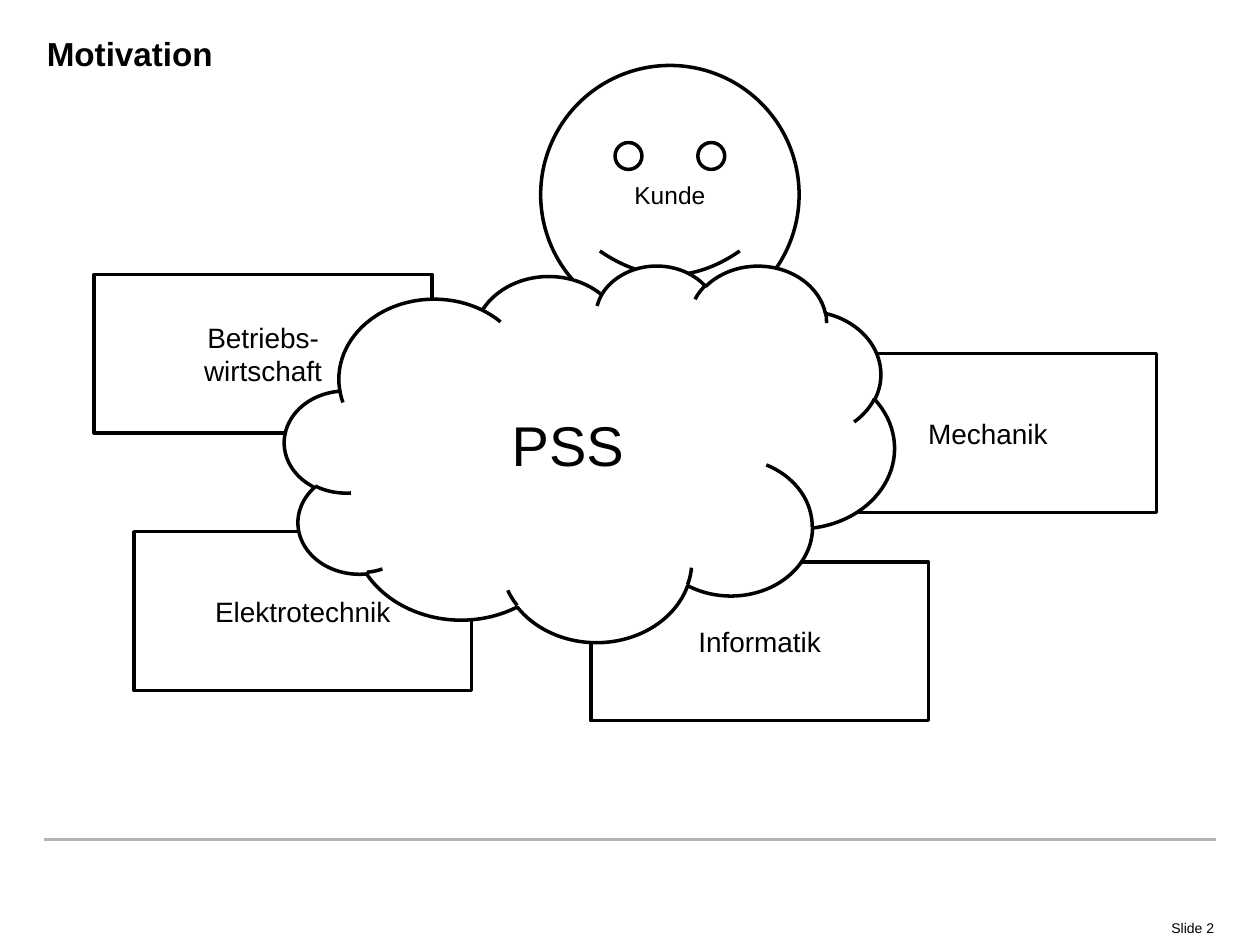
from dataclasses import dataclass

from lxml.etree import SubElement
from pptx import Presentation
from pptx.dml.color import RGBColor
from pptx.enum.shapes import MSO_CONNECTOR, MSO_SHAPE
from pptx.enum.text import MSO_ANCHOR, PP_ALIGN
from pptx.oxml.ns import qn
from pptx.slide import Slide
from pptx.text.text import TextFrame
from pptx.util import Cm, Pt

BLACK = RGBColor(0x00, 0x00, 0x00)
WHITE = RGBColor(0xFF, 0xFF, 0xFF)
GREY = RGBColor(0xB2, 0xB2, 0xB2)
FONT = "Arial"
DISCIPLINE_WIDTH = 6.81
DISCIPLINE_HEIGHT = 3.2


@dataclass(frozen=True)
class Figure:
    preset: MSO_SHAPE
    lines: tuple[str, ...]
    left: float
    top: float
    width: float
    height: float
    size: int
    filled: bool = True


def discipline(left: float, top: float, *lines: str) -> Figure:
    return Figure(MSO_SHAPE.RECTANGLE, lines, left, top,
                  DISCIPLINE_WIDTH, DISCIPLINE_HEIGHT, 16)


FIGURES = (
    Figure(MSO_SHAPE.SMILEY_FACE, ("Kunde",), 10.9, 1.32, 5.21, 5.21, 14, False),
    discipline(16.51, 7.13, "Mechanik"),
    discipline(2.7, 10.72, "Elektrotechnik"),
    discipline(11.91, 11.33, "Informatik"),
    discipline(1.9, 5.53, "Betriebs-", "wirtschaft"),
    Figure(MSO_SHAPE.CLOUD, ("PSS",), 5.74, 5.34, 12.29, 7.59, 32),
)


def write(frame: TextFrame, lines: tuple[str, ...], size: int,
          alignment: PP_ALIGN, bold: bool = False) -> None:
    frame.vertical_anchor = MSO_ANCHOR.MIDDLE
    for index, line in enumerate(lines):
        para = frame.add_paragraph() if index else frame.paragraphs[0]
        para.alignment = alignment
        span = para.add_run()
        span.text = line
        span.font.name = FONT
        span.font.size = Pt(size)
        span.font.bold = bold
        span.font.color.rgb = BLACK


def draw_figure(page: Slide, figure: Figure) -> None:
    shape = page.shapes.add_shape(
        figure.preset, Cm(figure.left), Cm(figure.top),
        Cm(figure.width), Cm(figure.height))
    shape.shadow.inherit = False
    shape.line.color.rgb = BLACK
    shape.line.width = Pt(2)
    if figure.filled:
        shape.fill.solid()
        shape.fill.fore_color.rgb = WHITE
    else:
        shape.fill.background()
    write(shape.text_frame, figure.lines, figure.size, PP_ALIGN.CENTER)


def draw_title(page: Slide, text: str) -> None:
    title = page.shapes.title
    title.left, title.top = Cm(0.69), Cm(0.53)
    title.width, title.height = Cm(22.3), Cm(1.07)
    write(title.text_frame, (text,), 19, PP_ALIGN.LEFT, bold=True)


def draw_footer(page: Slide, text: str) -> None:
    rule = page.shapes.add_connector(
        MSO_CONNECTOR.STRAIGHT, Cm(0.89), Cm(16.92), Cm(24.51), Cm(16.92))
    rule.line.color.rgb = GREY
    rule.line.width = Pt(1.5)
    SubElement(rule._element.spPr, qn("a:effectLst"))
    box = page.shapes.add_textbox(Cm(22.96), Cm(18.42), Cm(1.75), Cm(0.56))
    frame = box.text_frame
    frame.word_wrap = False
    frame.margin_left = frame.margin_right = Cm(0.23)
    frame.margin_top = frame.margin_bottom = Cm(0.1)
    write(frame, (text,), 8, PP_ALIGN.RIGHT)


def main() -> None:
    deck = Presentation()
    deck.slide_width, deck.slide_height = Cm(25.4), Cm(19.05)
    page = deck.slides.add_slide(deck.slide_layouts[5])
    draw_footer(page, "Slide 2")
    draw_title(page, "Motivation")
    for figure in FIGURES:
        draw_figure(page, figure)
    deck.save("out.pptx")


if __name__ == "__main__":
    main()
